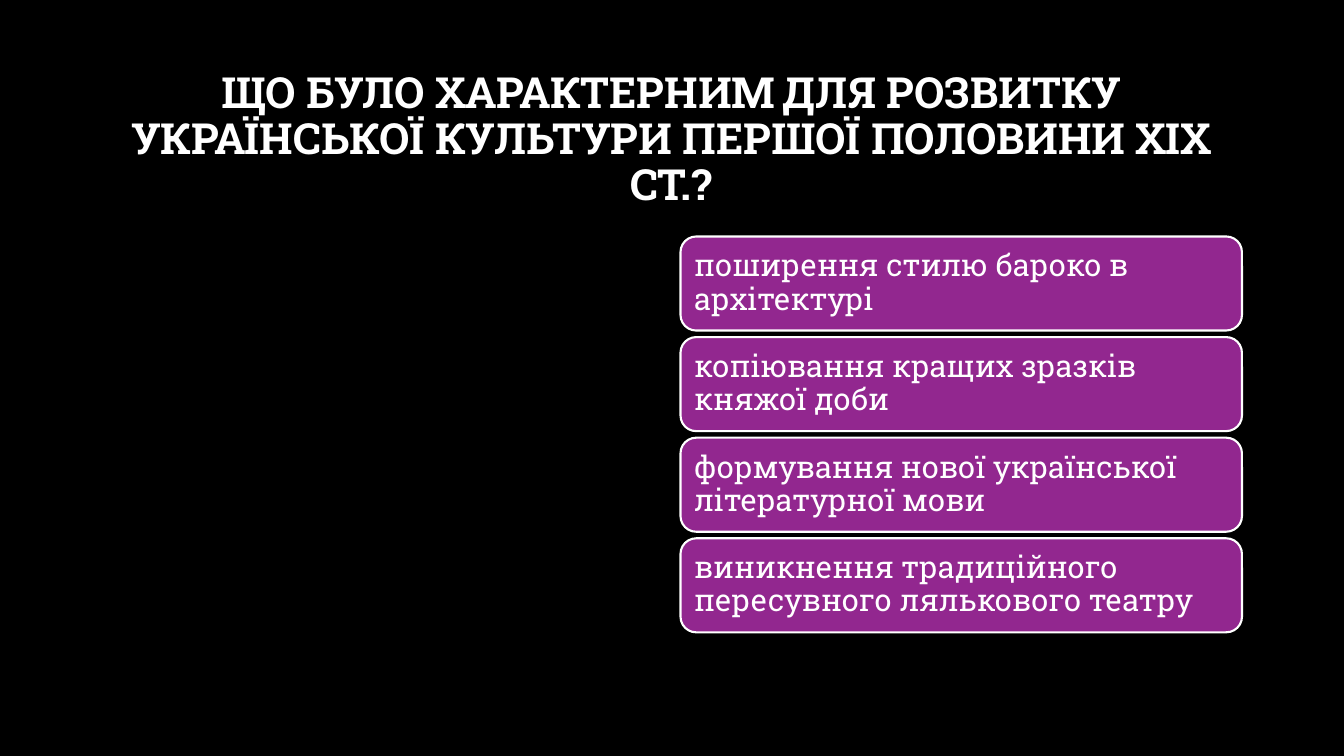
from pptx import Presentation
from pptx.dml.color import RGBColor
from pptx.enum import shapes, text
from pptx.util import Cm, Pt

BLACK = RGBColor(0x00, 0x00, 0x00)
WHITE = RGBColor(0xFF, 0xFF, 0xFF)
PURPLE = RGBColor(0x92, 0x27, 0x8F)

TITLE = "ЩО БУЛО ХАРАКТЕРНИМ ДЛЯ РОЗВИТКУ УКРАЇНСЬКОЇ КУЛЬТУРИ ПЕРШОЇ ПОЛОВИНИ ХІХ СТ.?"
ANSWERS = [
    "поширення стилю бароко в архітектурі",
    "копіювання кращих зразків княжої доби",
    "формування нової української літературної мови",
    "виникнення традиційного пересувного лялькового театру",
]


def write(shape, words, size, align, bold=False):
    """Fill a shape with one white, vertically centred paragraph."""
    frame = shape.text_frame
    frame.word_wrap = True
    frame.vertical_anchor = text.MSO_ANCHOR.MIDDLE
    para = frame.paragraphs[0]
    para.text = words
    para.alignment = align
    para.line_spacing = 0.9
    para.font.name = "Roboto Slab"
    para.font.size = Pt(size)
    para.font.bold = bold
    para.font.color.rgb = WHITE
    return frame


deck = Presentation()
deck.slide_width = Cm(33.87)
deck.slide_height = Cm(19.05)
slide = deck.slides.add_slide(deck.slide_layouts[6])
slide.background.fill.solid()
slide.background.fill.fore_color.rgb = BLACK

title = slide.shapes.add_textbox(Cm(2.54), Cm(1.7), Cm(28.75), Cm(3.68))
write(title, TITLE, 30.6, text.PP_ALIGN.CENTER, bold=True)

for row, answer in enumerate(ANSWERS):
    card = slide.shapes.add_shape(
        shapes.MSO_SHAPE.ROUNDED_RECTANGLE,
        Cm(17.15), Cm(5.96 + 2.535 * row), Cm(14.15), Cm(2.37))
    card.shadow.inherit = False
    card.fill.solid()
    card.fill.fore_color.rgb = PURPLE
    card.line.color.rgb = WHITE
    card.line.width = Pt(1.5)
    frame = write(card, answer, 22, text.PP_ALIGN.LEFT)
    frame.margin_left = frame.margin_right = Cm(0.23)
    frame.margin_top = frame.margin_bottom = Cm(0.23)

deck.save("out.pptx")
